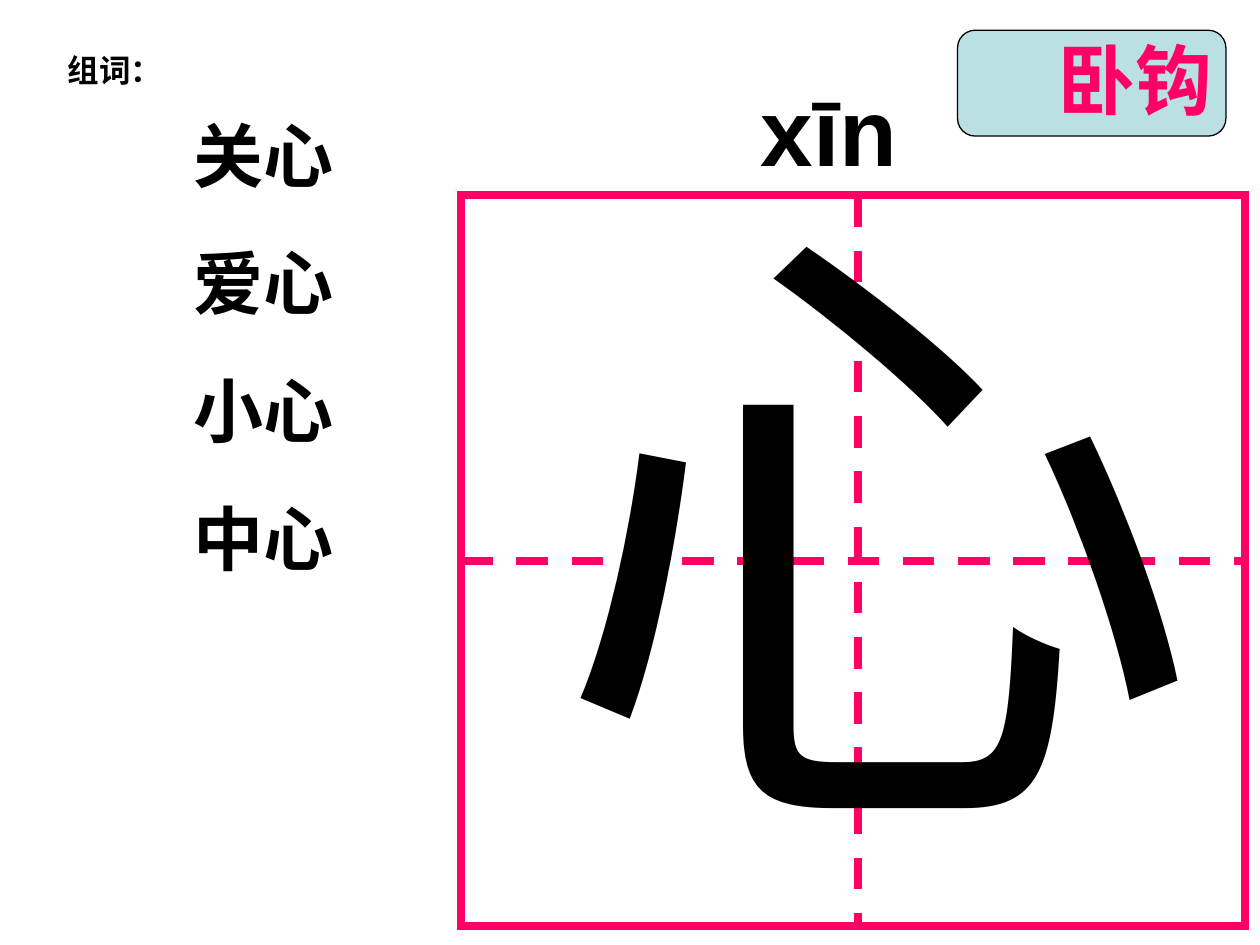
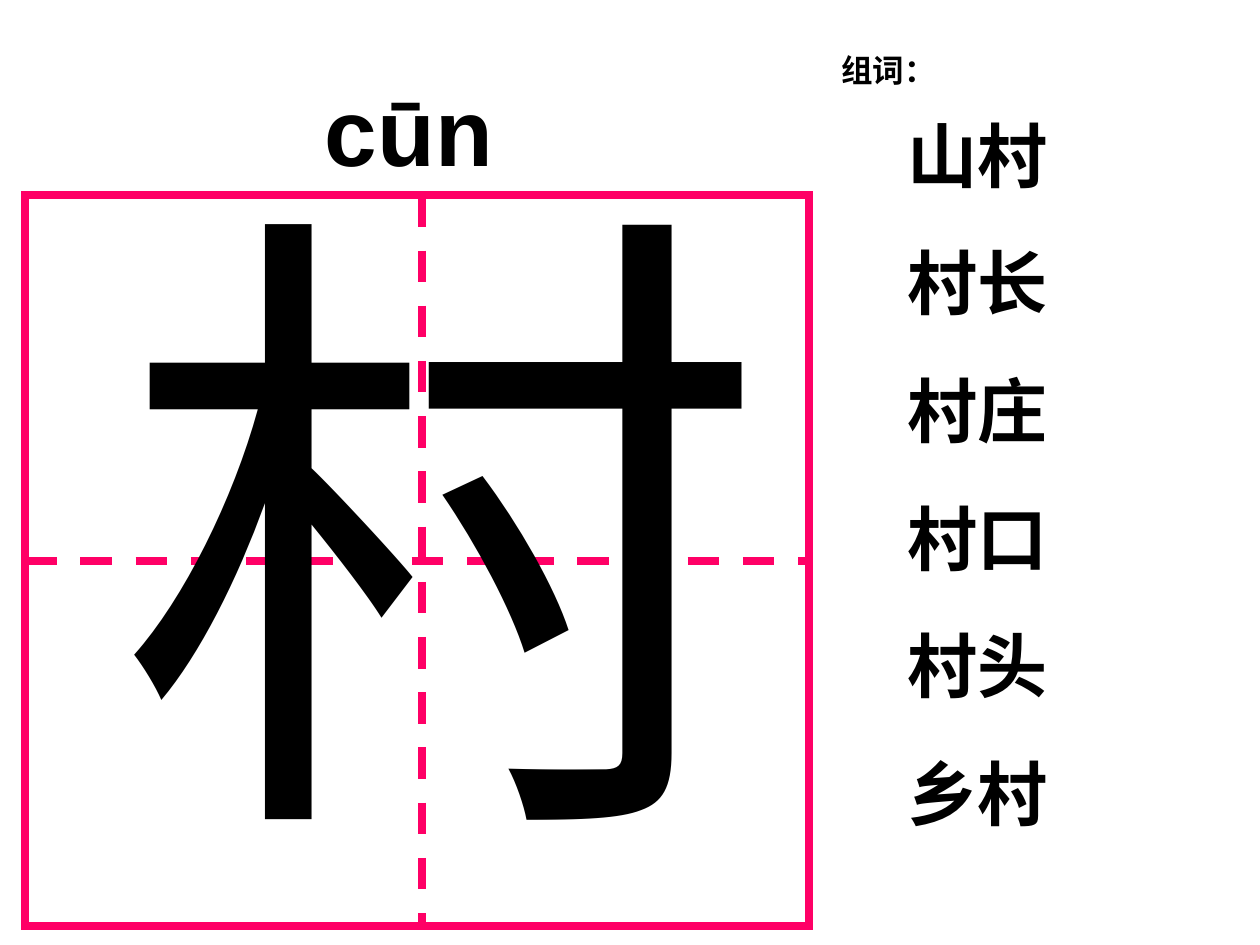
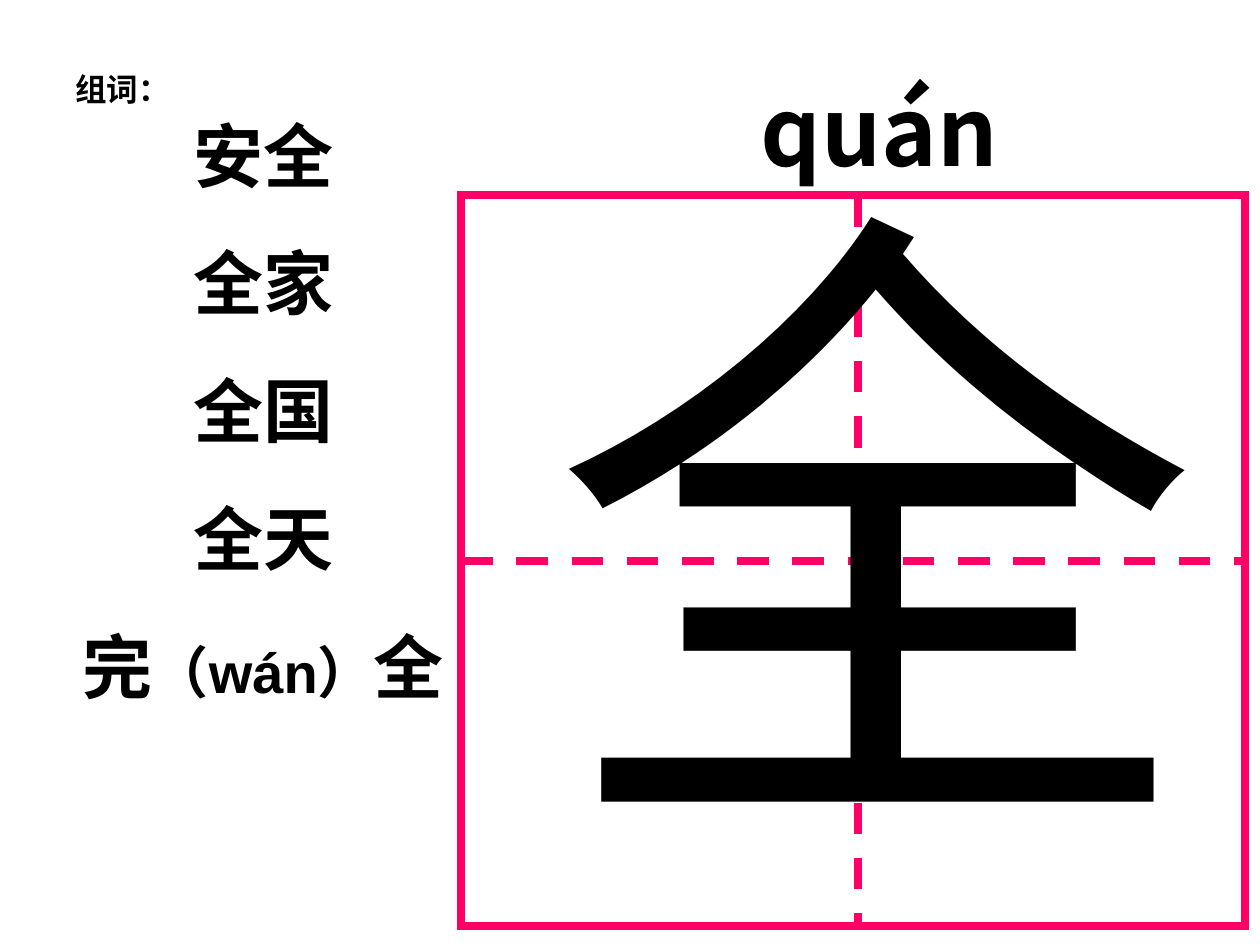
from pptx import Presentation
from pptx import util as u
from pptx.dml.color import RGBColor
from pptx.enum import dml, shapes, text
from pptx.oxml.ns import qn
from lxml import etree

COLORS = {"ink": "000000", "pink": "FF0066", "badge": "BBE0E3"}
CJK = "Noto Sans CJK SC"
LEADING = 1.2


def rgb(name):
    """Return a named colour."""
    return RGBColor.from_string(COLORS[name])


def add_text(s, box, paragraphs, size, font="Arial", color="ink", bold=True,
             wrap=False, align=None, gap=0):
    """Add a text box; each paragraph is a list of (text, size) runs."""
    tb = s.shapes.add_textbox(*map(u.Inches, box))
    tf = tb.text_frame
    tf.word_wrap = wrap
    for i, runs in enumerate(paragraphs):
        p = tf.paragraphs[0] if i == 0 else tf.add_paragraph()
        p.alignment = align
        p.line_spacing = u.Pt(size * LEADING)
        if i:
            p.space_before = u.Pt(gap)
        for words, run_size in runs:
            r = p.add_run()
            r.text = words
            r.font.size = u.Pt(run_size)
            r.font.name = font
            r.font.bold = bold
            r.font.color.rgb = rgb(color)
            ea = etree.SubElement(r.font._element, qn("a:ea"))
            ea.set("typeface", CJK)


def add_line(parent, start, end, color="pink", width=4.5, dashed=True):
    """Add a straight line without a shadow."""
    ln = parent.shapes.add_connector(
        shapes.MSO_CONNECTOR.STRAIGHT, *map(u.Inches, (*start, *end)))
    ln.line.color.rgb = rgb(color)
    ln.line.width = u.Pt(width)
    if dashed:
        ln.line.dash_style = dml.MSO_LINE.DASH
    etree.SubElement(ln._element.spPr, qn("a:effectLst"))
    return ln


def add_character_grid(s, x, y, character, pinyin, pinyin_font):
    """Draw the practice square with its character and the pinyin above."""
    w, h = 6.22, 5.8
    add_text(s, (x + 2.28, y - 1.03, 3.23, 1), [[(pinyin, 54)]], 54,
             font=pinyin_font, wrap=True)
    group = s.shapes.add_group_shape()
    sp = group.shapes.add_shape(
        shapes.MSO_SHAPE.RECTANGLE, *map(u.Inches, (x, y, w, h)))
    sp.shadow.inherit = False
    sp.fill.background()
    sp.line.color.rgb = rgb("pink")
    sp.line.width = u.Pt(4.5)
    outline = sp._element.spPr.find(qn("a:ln"))
    etree.SubElement(outline, qn("a:miter")).set("lim", "800000")
    middle = add_line(group, (x, y + h / 2), (x + w, y + h / 2))
    middle.begin_connect(sp, 1)
    middle.end_connect(sp, 3)
    add_line(s, (x + 3.15, y), (x + 3.15, y + 5.82))
    add_text(s, (x + 0.63, y - 0.64, 5.34, 6.27), [[(character, 370)]], 370,
             font="Times New Roman", bold=False)


def add_words(s, x, y, height, words):
    """Add the centred column of example words."""
    add_text(s, (x, y, 4.1, height), words, 40, wrap=True,
             align=text.PP_ALIGN.CENTER, gap=25)


def add_label(s, x, y):
    """Add the heading of the word list."""
    add_text(s, (x, y, 0.95, 0.4), [[("组词：", 18)]], 18)


def add_badge_plate(s, x, y):
    """Add the rounded plate behind the stroke name."""
    sp = s.shapes.add_shape(shapes.MSO_SHAPE.ROUNDED_RECTANGLE,
                            *map(u.Inches, (x, y, 2.13, 0.84)))
    sp.shadow.inherit = False
    sp.fill.solid()
    sp.fill.fore_color.rgb = rgb("badge")
    sp.line.color.rgb = rgb("ink")
    sp.line.width = u.Pt(0.75)


def add_badge_name(s, x, y, name):
    """Add the stroke name on its plate."""
    add_text(s, (x + 0.7, y - 0.03, 1.42, 0.84), [[(name, 44)]], 44,
             font=CJK, color="pink")


def add_character_slide(prs, character, pinyin, words, grid_x, words_x,
                        words_height, label, pinyin_font="Arial",
                        stroke=None, dot=False):
    """Build one slide that teaches a character."""
    s = prs.slides.add_slide(prs.slide_layouts[6])
    badge = (7.6, 0.24)
    if stroke:
        add_badge_plate(s, *badge)
    if dot:
        add_line(s, (3.35, 4.46), (3.35, 4.46), "ink", 0.75, dashed=False)
    add_character_grid(s, grid_x, 1.55, character, pinyin, pinyin_font)
    add_words(s, words_x, 0.84, words_height, words)
    if stroke:
        add_badge_name(s, *badge, stroke)
    add_label(s, *label)


def word_list(*words):
    """Turn plain words into single-run paragraphs."""
    return [[(word, 40)] for word in words]


def main():
    """Build and save the presentation."""
    prs = Presentation()
    prs.slide_width, prs.slide_height = u.Inches(10), u.Inches(7.5)
    right = dict(grid_x=3.66, words_x=0.04, words_height=4.82, dot=True)
    add_character_slide(
        prs, "心", "xīn", word_list("关心", "爱心", "小心", "中心"),
        label=(0.44, 0.36), stroke="卧钩", **right)
    add_character_slide(
        prs, "村", "cūn",
        word_list("山村", "村长", "村庄", "村口", "村头", "乡村"),
        grid_x=0.2, words_x=5.71, words_height=5.84, label=(6.58, 0.36))
    add_character_slide(
        prs, "全", "quán",
        word_list("安全", "全家", "全国", "全天")
        + [[("完", 40), ("（wán）", 32), ("全", 40)]],
        label=(0.5, 0.51), pinyin_font=CJK, **right)
    prs.save("out.pptx")


if __name__ == "__main__":
    main()
